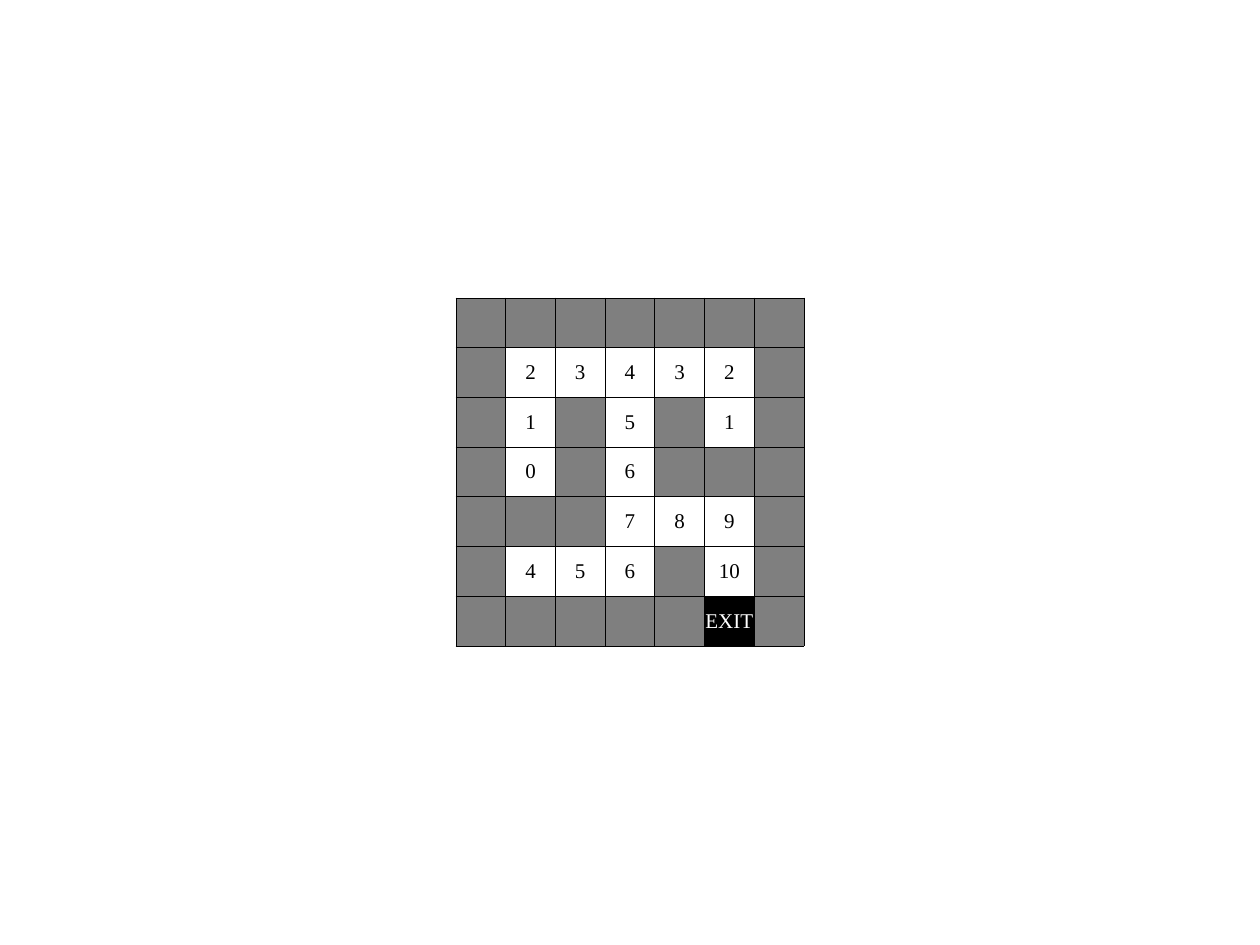
from lxml.etree import SubElement as Sub
from pptx import Presentation
from pptx.dml.color import RGBColor as RGB
from pptx.enum.text import MSO_ANCHOR as Anchor, PP_ALIGN as Align
from pptx.oxml.ns import qn
from pptx.util import Pt

SCALE = 914400 // 126  # EMU per pixel
COLORS = {"wall": "7F7F7F", "exit": "000000", "line": "000000",
          "text": "000000", "light": "FFFFFF"}
LEFT, TOP, SIDE = 456, 298, 348

# "#" is a wall; a number is the distance walked so far
MAZE = [row.split() for row in (
    "# # # # # # #",
    "# 2 3 4 3 2 #",
    "# 1 # 5 # 1 #",
    "# 0 # 6 # # #",
    "# # # 7 8 9 #",
    "# 4 5 6 # 10 #",
    "# # # # # EXIT #",
)]


def px(n):
    return n * SCALE


def color(name):
    return RGB.from_string(COLORS[name])


def border(cell):
    props = cell._tc.get_or_add_tcPr()
    for side in ("lnL", "lnR", "lnT", "lnB"):
        line = Sub(props, qn("a:" + side), w=str(Pt(0.5)))
        fill = Sub(line, qn("a:solidFill"))
        Sub(fill, qn("a:srgbClr"), val=COLORS["line"])


def paint(cell, name):
    cell.fill.solid()
    cell.fill.fore_color.rgb = color(name)


def label(cell, text):
    cell.text_frame.text = text
    para = cell.text_frame.paragraphs[0]
    para.alignment = Align.CENTER
    font = para.runs[0].font
    font.name, font.size = "Times New Roman", Pt(12)
    font.color.rgb = color("light" if text == "EXIT" else "text")


def square(cell, mark):
    cell.margin_left = cell.margin_right = 0
    cell.margin_top = cell.margin_bottom = 0
    cell.vertical_anchor = Anchor.MIDDLE
    border(cell)
    if mark == "#":
        paint(cell, "wall")
        return
    label(cell, mark)
    if mark == "EXIT":
        paint(cell, "exit")
    else:
        cell.fill.background()


def grid(slide):
    count = len(MAZE)
    table = slide.shapes.add_table(count, count, px(LEFT), px(TOP),
                                   px(SIDE), px(SIDE)).table
    table.first_row = table.horz_banding = False
    for i, marks in enumerate(MAZE):
        table.rows[i].height = table.columns[i].width = px(SIDE) // count
        for j, mark in enumerate(marks):
            square(table.cell(i, j), mark)


def main():
    deck = Presentation()
    deck.slide_width, deck.slide_height = px(1260), px(945)
    slide = deck.slides.add_slide(deck.slide_layouts[6])
    grid(slide)
    deck.save("out.pptx")


main()
